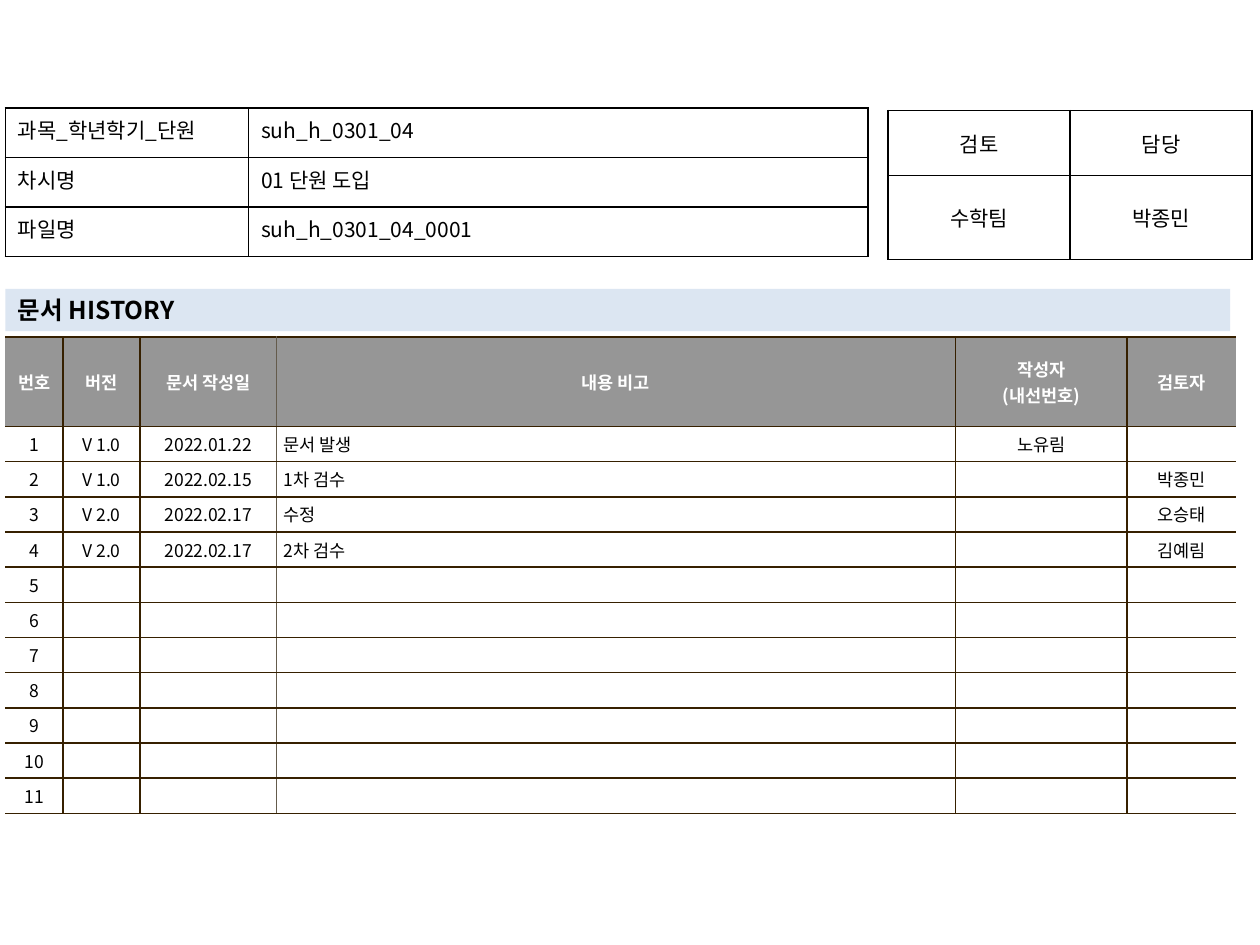
from lxml import etree
from pptx import Presentation
from pptx.dml.color import RGBColor
from pptx.enum.text import MSO_ANCHOR, MSO_AUTO_SIZE, PP_ALIGN
from pptx.oxml.ns import qn
from pptx.util import Pt

TOP, MIDDLE = MSO_ANCHOR.TOP, MSO_ANCHOR.MIDDLE
LEFT, CENTER, JUSTIFY = PP_ALIGN.LEFT, PP_ALIGN.CENTER, PP_ALIGN.JUSTIFY
FIXED = MSO_AUTO_SIZE.NONE

BLACK = RGBColor(0x00, 0x00, 0x00)
WHITE = RGBColor(0xFF, 0xFF, 0xFF)
HEADER_GRAY = RGBColor(0x96, 0x96, 0x96)
BANNER_BLUE = RGBColor(0xDC, 0xE6, 0xF2)
BROWN = RGBColor(0x36, 0x20, 0x00)
TAUPE = RGBColor(0x64, 0x5B, 0x4C)
FONT = "Noto Sans CJK KR"

BANNER = "문서 HISTORY"
DOCUMENT_INFO = [
    ("과목_학년학기_단원", "suh_h_0301_04"),
    ("차시명", "01 단원 도입"),
    ("파일명", "suh_h_0301_04_0001"),
]
SIGN_OFF = [("검토", "담당"), ("수학팀", "박종민")]
HISTORY_HEADER = ("번호", "버전", "문서 작성일", "내용 비고", "작성자\n(내선번호)", "검토자")
REVISIONS = [
    ("V 1.0", "2022.01.22", "문서 발생", "노유림", ""),
    ("V 1.0", "2022.02.15", "1차 검수", "", "박종민"),
    ("V 2.0", "2022.02.17", "수정", "", "오승태"),
    ("V 2.0", "2022.02.17", "2차 검수", "", "김예림"),
]
HISTORY_LINES = 11
NOTE_COLUMN = 3

LEFT_EDGE = 3
HISTORY_WIDTHS = [33, 44, 78, 388, 98, 62.5]
HEADER_HEIGHT, LINE_HEIGHT = 51, 20.1


def write(frame, text, size=12, bold=False, color=BLACK, align=LEFT):
    frame.word_wrap = True
    for index, line in enumerate(text.split("\n")):
        paragraph = frame.paragraphs[0] if index == 0 else frame.add_paragraph()
        paragraph.alignment = align
        if not line:
            etree.SubElement(paragraph._p, qn("a:endParaRPr"), sz=str(size * 100))
            continue
        run = paragraph.add_run()
        run.text = line
        run.font.size, run.font.bold, run.font.name = Pt(size), bold, FONT
        run.font.color.rgb = color
        etree.SubElement(run._r.get_or_add_rPr(), qn("a:ea"), typeface=FONT)


def draw_borders(cell, colors):
    properties = cell._tc.get_or_add_tcPr()
    for side, color in zip(("lnL", "lnR", "lnT", "lnB"), colors):
        line = etree.SubElement(properties, qn(f"a:{side}"), w=str(Pt(1)))
        if color is None:
            etree.SubElement(line, qn("a:noFill"))
        else:
            solid = etree.SubElement(line, qn("a:solidFill"))
            etree.SubElement(solid, qn("a:srgbClr"), val=str(color))


def add_grid(slide, left, top, widths, heights):
    table = slide.shapes.add_table(
        len(heights), len(widths), Pt(left), Pt(top), Pt(sum(widths)), Pt(sum(heights))
    ).table
    table.first_row = table.horz_banding = False
    for column, width in zip(table.columns, widths):
        column.width = Pt(width)
    for row, height in zip(table.rows, heights):
        row.height = Pt(height)
    return table


def set_cell(cell, text, borders, fill=None, anchor=MIDDLE, margins=(7.2, 3.6), **style):
    cell.margin_left = cell.margin_right = Pt(margins[0])
    cell.margin_top = cell.margin_bottom = Pt(margins[1])
    cell.vertical_anchor = anchor
    draw_borders(cell, borders)
    if fill is None:
        cell.fill.background()
    else:
        cell.fill.solid()
        cell.fill.fore_color.rgb = fill
    write(cell.text_frame, text, **style)


def add_black_grid(slide, left, top, widths, heights, content, anchor, aligns):
    table = add_grid(slide, left, top, widths, heights)
    for r, line in enumerate(content):
        for c, text in enumerate(line):
            set_cell(table.cell(r, c), text, [BLACK] * 4, anchor=anchor, align=aligns[c])


def add_history(slide):
    numbered = [
        (str(i + 1), *(REVISIONS[i] if i < len(REVISIONS) else [""] * 5))
        for i in range(HISTORY_LINES)
    ]
    heights = [HEADER_HEIGHT] + [LINE_HEIGHT] * HISTORY_LINES
    table = add_grid(slide, LEFT_EDGE, 192.7, HISTORY_WIDTHS, heights)
    verticals = [None] + [BROWN] * (len(HISTORY_WIDTHS) - 1) + [None]
    verticals[NOTE_COLUMN] = TAUPE
    for r, line in enumerate([HISTORY_HEADER] + numbered):
        header = r == 0
        for c, text in enumerate(line):
            set_cell(
                table.cell(r, c), text, (verticals[c], verticals[c + 1], BROWN, BROWN),
                fill=HEADER_GRAY if header else WHITE, margins=(4.1, 2.8),
                size=10, bold=header, color=WHITE if header else BLACK,
                align=LEFT if c == NOTE_COLUMN and not header else CENTER,
            )


def add_banner(slide):
    banner = slide.shapes.title
    banner.left, banner.top, banner.width, banner.height = map(Pt, (LEFT_EDGE, 165, 700, 24.3))
    banner.fill.solid()
    banner.fill.fore_color.rgb = BANNER_BLUE
    banner.text_frame.auto_size = FIXED
    banner.text_frame.vertical_anchor = MIDDLE
    write(banner.text_frame, BANNER, size=14, bold=True)


def main():
    deck = Presentation()
    deck.slide_width, deck.slide_height = Pt(720), Pt(540)
    slide = deck.slides.add_slide(deck.slide_layouts[5])
    add_history(slide)
    add_black_grid(slide, 507.5, 63.2, [104, 104], [37.2, 47.8], SIGN_OFF, MIDDLE, (CENTER, CENTER))
    add_banner(slide)
    add_black_grid(slide, LEFT_EDGE, 61.7, [139, 354], [28.3] * 3, DOCUMENT_INFO, TOP, (JUSTIFY, LEFT))
    deck.save("out.pptx")


if __name__ == "__main__":
    main()
